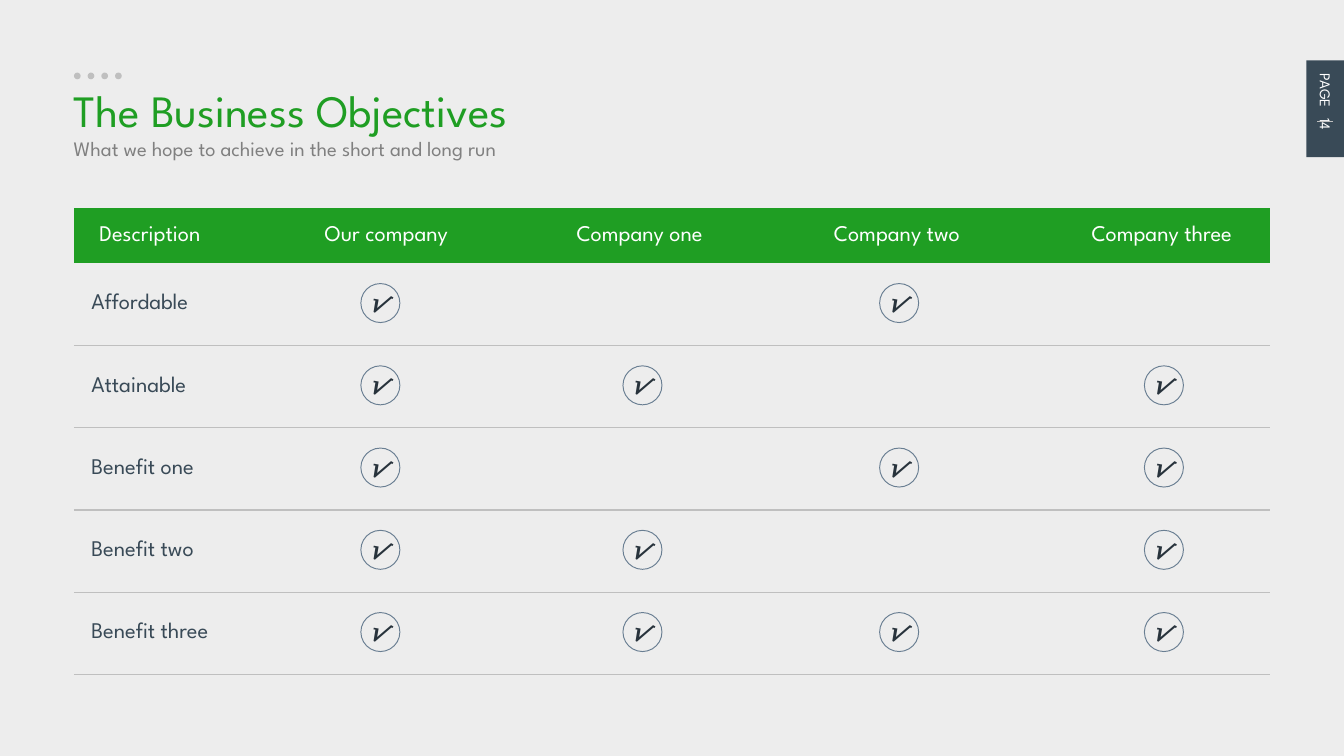
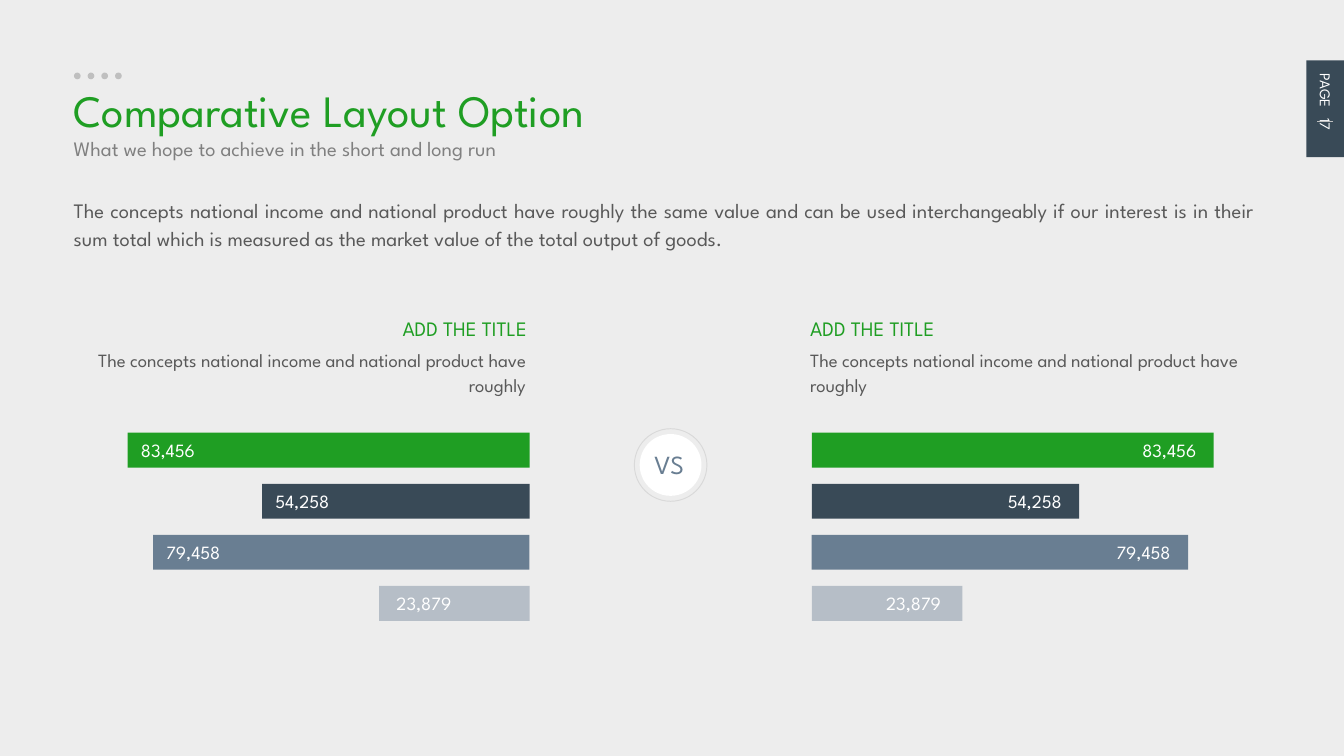
from lxml.etree import SubElement
from pptx import Presentation
from pptx.dml.color import RGBColor
from pptx.enum.shapes import MSO_CONNECTOR, MSO_SHAPE as SHAPE
from pptx.enum.text import MSO_ANCHOR as ANCHOR, MSO_AUTO_SIZE as AUTO_SIZE, PP_ALIGN as ALIGN
from pptx.oxml.ns import qn
from pptx.util import Emu, Inches, Pt

# Shared look
WIDTH, HEIGHT = 10, 5.625
FONT = "League Spartan"
BACKGROUND, WHITE, GREEN = "EDEDED", "FFFFFF", "1F9E23"
NAVY, DARK, STEEL, PALE = "394A57", "28333C", "697E92", "B6BEC7"
RULE, RING, SUBTITLE_GREY, BODY_GREY = "BFBFBF", "D9D9D9", "808080", "595959"
LEFT = 0.55
SUBTITLE = "What we hope to achieve in the short and long run"

# Objectives content: (label, which companies get a check mark)
OBJECTIVES = {"title": "The Business Objectives", "title_width": 3.98, "page": 14}
HEADERS = ["Description", "Our company", "Company one", "Company two", "Company three"]
BENEFITS = [
    ("Affordable", (1, 0, 1, 0)),
    ("Attainable", (1, 1, 0, 1)),
    ("Benefit one", (1, 0, 1, 1)),
    ("Benefit two", (1, 1, 0, 1)),
    ("Benefit three", (1, 1, 1, 1)),
]
COLUMN_WIDTHS = [1.19, 2.27, 1.5, 2.33, 1.61]
MARK_CENTRES = [2.83, 4.78, 6.69, 8.66]
TABLE_TOP, HEADER_HEIGHT, ROW_HEIGHT = 1.55, 0.41, 0.612

# Comparison content: (value, bar width, colour, extra label inset)
COMPARISON = {"title": "Comparative Layout Option", "title_width": 4.81, "page": 17}
INTRO = (
    "The concepts national income and national product have roughly the same value and "
    "can be used interchangeably if our interest is in their sum total which is measured "
    "as the market value of the total output of goods."
)
SIDE_TITLE = "ADD THE TITLE"
SIDE_TEXT = "The concepts national income and national product have roughly"
BARS = [
    ("83,456", 2.99, GREEN, 0),
    ("54,258", 1.99, NAVY, 0),
    ("79,458", 2.8, STEEL, 0),
    ("23,879", 1.12, PALE, 0.03),
]
BAR_TOP, BAR_HEIGHT, BAR_STEP = 3.22, 0.26, 0.38
# (alignment, axis the bars grow from, text left, title left, label inset)
SIDES = [
    (ALIGN.RIGHT, 3.94, 0.51, 2.82, 0.1),
    (ALIGN.LEFT, 6.04, 5.93, 5.93, 0.13),
]


def colour(hex_string):
    return RGBColor.from_string(hex_string)


def style_text(text_frame, size, hex_string, align=ALIGN.LEFT, bold=False):
    for paragraph in text_frame.paragraphs:
        paragraph.alignment = align
        font = paragraph.font
        font.name, font.size, font.bold = FONT, Pt(size), bold
        font.color.rgb = colour(hex_string)


def add_text(slide, text, box, size, hex_string, align=ALIGN.LEFT, wrap=False,
             spacing=None, bold=False, rotation=0, tab=None):
    shape = slide.shapes.add_textbox(*map(Inches, box))
    shape.rotation = rotation
    text_frame = shape.text_frame
    text_frame.word_wrap = wrap
    text_frame.auto_size = AUTO_SIZE.SHAPE_TO_FIT_TEXT
    text_frame.text = text
    paragraph = text_frame.paragraphs[0]
    if spacing:
        paragraph.line_spacing = spacing
    if tab:
        tabs = SubElement(paragraph._p.get_or_add_pPr(), qn("a:tabLst"))
        SubElement(tabs, qn("a:tab"), pos=str(Inches(tab)), algn="l")
    style_text(text_frame, size, hex_string, align, bold)
    return shape


def add_shape(slide, kind, box, fill=None, line=None):
    shape = slide.shapes.add_shape(kind, *map(Inches, box))
    shape.shadow.inherit = False
    if fill:
        shape.fill.solid()
        shape.fill.fore_color.rgb = colour(fill)
    else:
        shape.fill.background()
    if line:
        shape.line.color.rgb = colour(line)
        shape.line.width = Pt(0.5)
    else:
        shape.line.fill.background()
    return shape


def add_frame(presentation, title, title_width, page):
    """Start a slide with background, dots, title, subtitle and page tab."""
    slide = presentation.slides.add_slide(presentation.slide_layouts[6])
    slide.background.fill.solid()
    slide.background.fill.fore_color.rgb = colour(BACKGROUND)
    for index in range(4):
        add_shape(slide, SHAPE.OVAL, (LEFT + index * 0.102, 0.54, 0.05, 0.05), RULE)
    add_text(slide, title, (0.45, 0.57, title_width, 0.5), 24, GREEN)
    add_text(slide, SUBTITLE, (0.45, 0.96, 4.02, 0.29), 11, SUBTITLE_GREY)

    # Page tab on the right edge
    add_shape(slide, SHAPE.RECTANGLE, (WIDTH - 0.28, 0.45, 0.28, 0.72), NAVY)
    add_text(slide, f"PAGE\t{page}", (9.5, 0.69, 0.72, 0.24), 8, WHITE,
             wrap=True, rotation=90, tab=0.33)
    line = slide.shapes.add_connector(
        MSO_CONNECTOR.STRAIGHT, *map(Inches, (9.8, 0.9, 9.92, 0.9)))
    line.line.color.rgb = colour(RULE)
    line.line.width = Pt(0.25)
    SubElement(line._element.spPr, qn("a:effectLst"))
    return slide


def set_borders(cell, ruled_sides):
    properties = cell._tc.get_or_add_tcPr()
    for side in "LRTB":
        border = SubElement(properties, qn(f"a:ln{side}"), w=str(Pt(0.75)))
        if side in ruled_sides:
            fill = SubElement(border, qn("a:solidFill"))
            SubElement(fill, qn("a:srgbClr"), val=RULE)
        else:
            SubElement(border, qn("a:noFill"))


def add_benefit_table(slide):
    height = HEADER_HEIGHT + len(BENEFITS) * ROW_HEIGHT
    table = slide.shapes.add_table(
        len(BENEFITS) + 1, len(HEADERS),
        *map(Inches, (LEFT, TABLE_TOP, sum(COLUMN_WIDTHS), height))).table
    table.first_row = table.horz_banding = False
    for column, width in zip(table.columns, COLUMN_WIDTHS):
        column.width = Inches(width)
    for index, row in enumerate(table.rows):
        row.height = Inches(ROW_HEIGHT if index else HEADER_HEIGHT)
        for position, cell in enumerate(row.cells):
            set_borders(cell, ("", "B")[index > 0] + ("", "T")[index > 1])
            cell.vertical_anchor = ANCHOR.MIDDLE
            if index == 0:
                cell.fill.solid()
                cell.fill.fore_color.rgb = colour(GREEN)
                cell.text_frame.text = HEADERS[position]
                style_text(cell.text_frame, 12, WHITE,
                           ALIGN.CENTER if position else ALIGN.LEFT)
            else:
                cell.fill.background()
                if position == 0:
                    cell.text_frame.text = BENEFITS[index - 1][0]
                    style_text(cell.text_frame, 12, NAVY)
            if position == 0:
                cell.margin_left = Inches(0.13 if index else 0.19)


def build_objectives(presentation):
    slide = add_frame(presentation, **OBJECTIVES)
    add_benefit_table(slide)
    # Circled check marks over the table cells
    for row, (_, marks) in enumerate(BENEFITS):
        top = TABLE_TOP + HEADER_HEIGHT + row * ROW_HEIGHT + 0.15
        for centre, marked in zip(MARK_CENTRES, marks):
            if marked:
                left = centre - 0.145
                add_shape(slide, SHAPE.OVAL, (left, top, 0.29, 0.29), line=STEEL)
                add_text(slide, "√", (left - 0.02, top - 0.02, 0.31, 0.34), 14, DARK,
                         bold=True, rotation=29.2)


def build_comparison(presentation):
    slide = add_frame(presentation, **COMPARISON)
    add_text(slide, INTRO, (0.45, 1.4, 8.99, 0.52), 11, BODY_GREY,
             ALIGN.JUSTIFY, wrap=True, spacing=1.14)

    # Mirrored sides: heading, text and bars
    for align, axis, text_left, title_left, inset in SIDES:
        add_text(slide, SIDE_TITLE, (title_left, 2.3, 1.2, 0.29), 11, GREEN, align)
        add_text(slide, SIDE_TEXT, (text_left, 2.52, 3.5, 0.48), 10, BODY_GREY,
                 align, wrap=True, spacing=1.14)
        grows_left = align == ALIGN.RIGHT
        for index, (value, width, fill, extra) in enumerate(BARS):
            left = axis - width if grows_left else axis
            bar = add_shape(slide, SHAPE.RECTANGLE,
                            (left, BAR_TOP + index * BAR_STEP, width, BAR_HEIGHT), fill)
            text_frame = bar.text_frame
            text_frame.margin_left = text_frame.margin_right = Inches(inset + extra)
            text_frame.margin_top = text_frame.margin_bottom = Emu(0)
            text_frame.vertical_anchor = ANCHOR.MIDDLE
            text_frame.text = value
            style_text(text_frame, 10, WHITE, ALIGN.LEFT if grows_left else ALIGN.RIGHT)

    # Badge between the sides
    add_shape(slide, SHAPE.OVAL, (4.76, 3.23, 0.46, 0.46), WHITE)
    add_shape(slide, SHAPE.OVAL, (4.72, 3.19, 0.54, 0.54), line=RING)
    add_text(slide, "VS", (4.77, 3.29, 0.44, 0.34), 14, STEEL)


def main():
    presentation = Presentation()
    presentation.slide_width, presentation.slide_height = Inches(WIDTH), Inches(HEIGHT)
    build_objectives(presentation)
    build_comparison(presentation)
    presentation.save("out.pptx")


if __name__ == "__main__":
    main()
